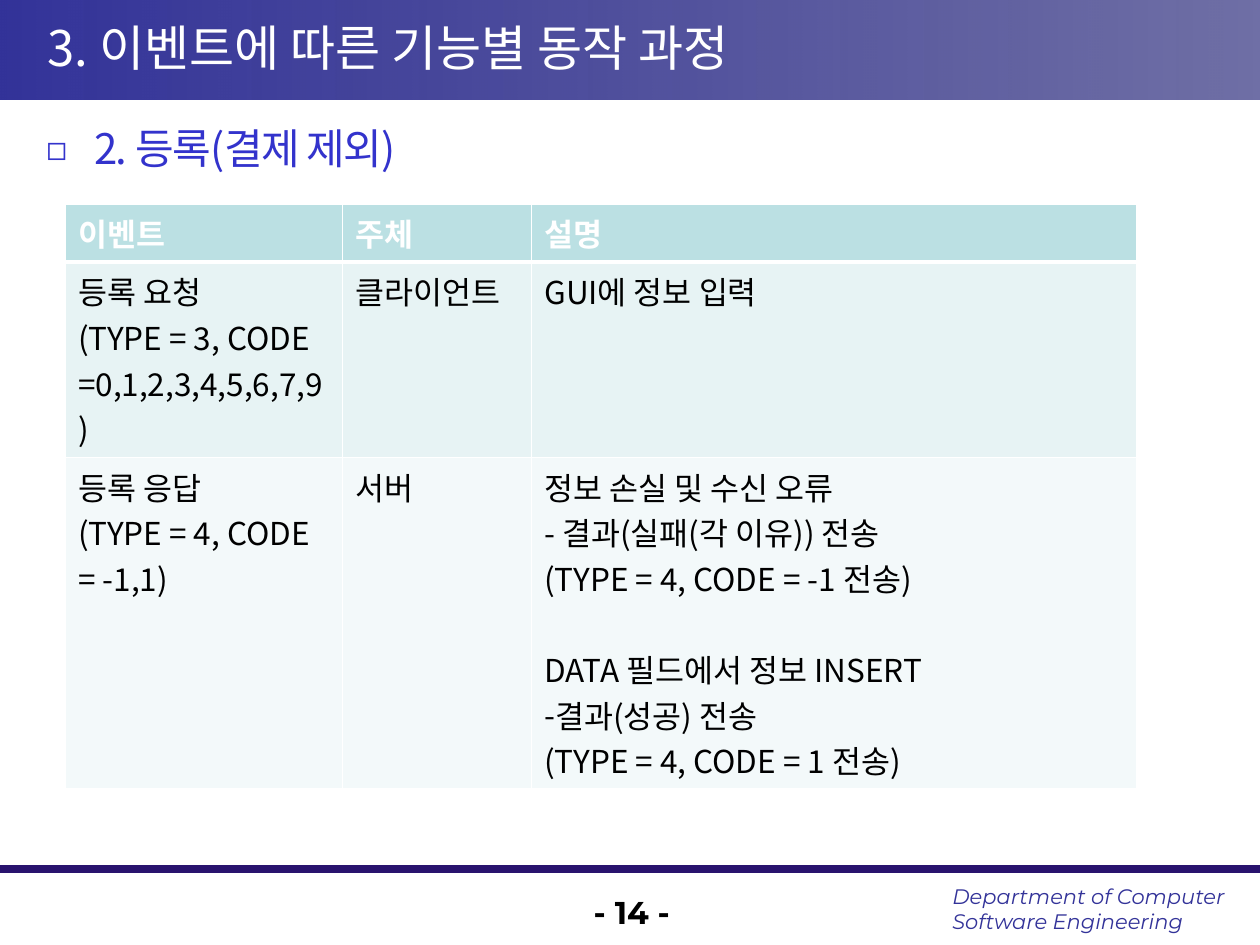
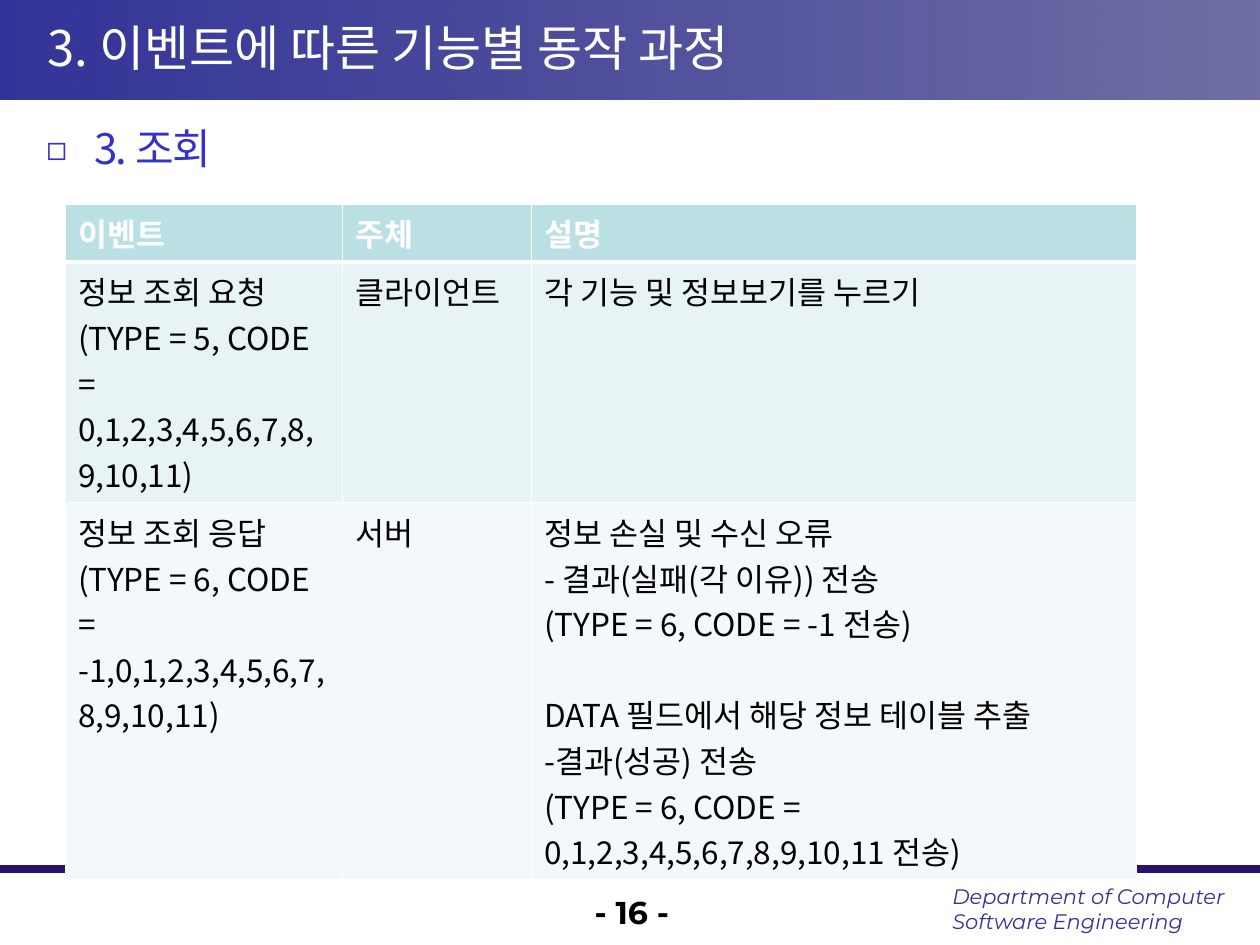
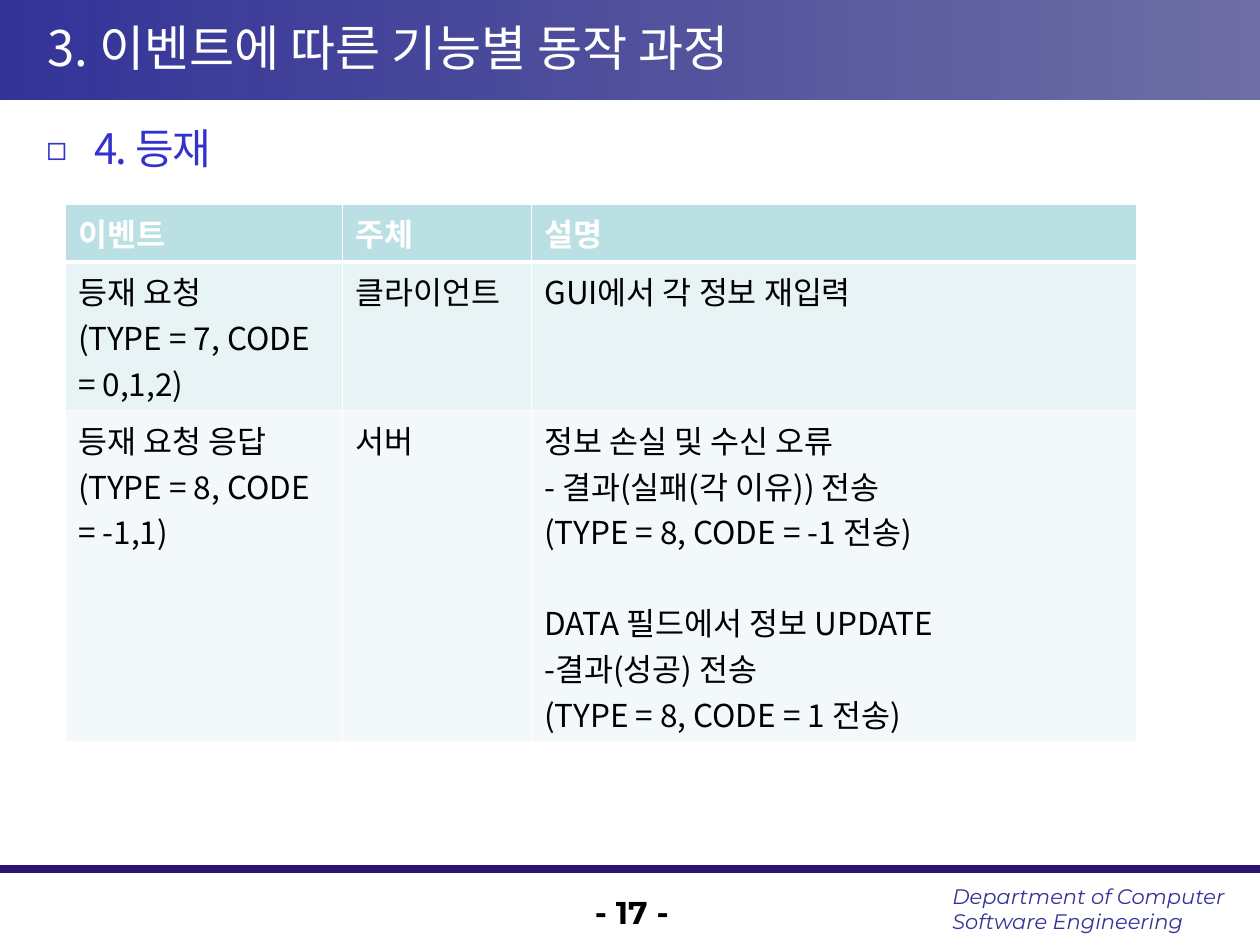
from dataclasses import dataclass

from lxml.etree import SubElement
from pptx import Presentation
from pptx.dml.color import RGBColor
from pptx.enum.shapes import MSO_CONNECTOR, MSO_SHAPE
from pptx.enum.text import MSO_ANCHOR, MSO_AUTO_SIZE, PP_ALIGN
from pptx.oxml.ns import qn
from pptx.slide import Slide
from pptx.table import _Cell
from pptx.text.text import TextFrame
from pptx.util import Emu, Inches, Pt


@dataclass(frozen=True)
class TextStyle:
    font: str
    size: int
    color: str
    bold: bool = False
    italic: bool = False
    spacing: int = 0


@dataclass(frozen=True)
class Theme:
    band_start: str = "333399"
    band_end: str = "29297B"
    band_end_alpha: int = 67
    rule: str = "29136E"
    border: str = "FFFFFF"
    row_fills: tuple[str, ...] = ("BBE0E3", "E7F3F4", "F3F9FA")
    title: TextStyle = TextStyle("Noto Sans CJK KR", 28, "FFFFFF")
    heading: TextStyle = TextStyle("Noto Sans CJK KR", 24, "3333CC", spacing=-100)
    table_head: TextStyle = TextStyle("Noto Sans CJK KR", 18, "FFFFFF", bold=True)
    table_body: TextStyle = TextStyle("Noto Sans CJK KR", 18, "000000")
    number: TextStyle = TextStyle("Montserrat", 18, "000000", bold=True)
    department: TextStyle = TextStyle("Montserrat", 12, "333399", italic=True)


@dataclass(frozen=True)
class Line:
    text: str
    bullet: str = ""
    bullet_percent: int = 100
    indent: float = 0
    space_before: int = 0
    align: PP_ALIGN = PP_ALIGN.LEFT


@dataclass(frozen=True)
class Box:
    left: float
    top: float
    width: float
    height: float

    def lengths(self) -> tuple[Emu, ...]:
        return tuple(Inches(n) for n in (self.left, self.top, self.width, self.height))


@dataclass(frozen=True)
class EventPage:
    number: int
    heading: str
    request: str
    request_type: int
    request_codes: str
    client_action: str
    response: str
    response_codes: str
    server_action: str
    success_codes: str
    row_heights: tuple[float, ...]


THEME = Theme()
TITLE = "3. 이벤트에 따른 기능별 동작 과정"
COLUMNS = {"이벤트": 2.2, "주체": 1.5, "설명": 4.8}
BLANK_LINE = 26
QUERY_CODES = "0,1,2,3,4,5,6,7,8,9,10,11"

PAGES = (
    EventPage(14, "2. 등록(결제 제외)", "등록 요청", 3, "=0,1,2,3,4,5,6,7,9",
              "GUI에 정보 입력", "등록 응답", "-1,1", "정보 INSERT", "1",
              (0.46, 1.55, 2.63)),
    EventPage(16, "3. 조회", "정보 조회 요청", 5, f"= {QUERY_CODES}",
              "각 기능 및 정보보기를 누르기", "정보 조회 응답", f"-1,{QUERY_CODES}",
              "해당 정보 테이블 추출", QUERY_CODES, (0.46, 1.91, 2.99)),
    EventPage(17, "4. 등재", "등재 요청", 7, "= 0,1,2",
              "GUI에서 각 정보 재입력", "등재 요청 응답", "-1,1", "정보 UPDATE", "1",
              (0.46, 1.18, 2.63)),
)


def write_lines(frame: TextFrame, lines: list[Line], style: TextStyle) -> None:
    for index, line in enumerate(lines):
        para = frame.paragraphs[0] if index == 0 else frame.add_paragraph()
        para.alignment = line.align
        if line.space_before:
            para.space_before = Pt(line.space_before)
        if line.bullet:
            properties = para._p.get_or_add_pPr()
            properties.set("marL", str(Inches(line.indent)))
            properties.set("indent", str(-Inches(line.indent)))
            SubElement(properties, qn("a:buSzPct"), val=str(line.bullet_percent * 1000))
            SubElement(properties, qn("a:buFont"), typeface=style.font)
            SubElement(properties, qn("a:buChar"), char=line.bullet)
        span = para.add_run()
        span.text = line.text
        values = {"name": style.font, "size": Pt(style.size),
                  "bold": style.bold, "italic": style.italic}
        for name, value in values.items():
            setattr(span.font, name, value)
        span.font.color.rgb = RGBColor.from_string(style.color)
        run_properties = span._r.get_or_add_rPr()
        SubElement(run_properties, qn("a:ea"), typeface=style.font)
        if style.spacing:
            run_properties.set("spc", str(style.spacing))


def add_text(page: Slide, box: Box, lines: list[Line], style: TextStyle, **overrides) -> None:
    frame = page.shapes.add_textbox(*box.lengths()).text_frame
    values = {"word_wrap": True, "vertical_anchor": MSO_ANCHOR.TOP} | overrides
    for name, value in values.items():
        setattr(frame, name, value)
    write_lines(frame, lines, style)


def add_frame(page: Slide) -> None:
    band = page.shapes.add_shape(MSO_SHAPE.RECTANGLE, *Box(0, 0, 10, 0.79).lengths())
    band.shadow.inherit = False
    band.line.fill.background()
    band.fill.gradient()
    band.fill.gradient_angle = 0
    stops = band.fill.gradient_stops
    for stop, color, position in zip(stops, (THEME.band_start, THEME.band_end), (0, 1)):
        stop.color.rgb = RGBColor.from_string(color)
        stop.position = position
    end_color = band._element.spPr.findall(".//" + qn("a:srgbClr"))[-1]
    SubElement(end_color, qn("a:alpha"), val=str(THEME.band_end_alpha * 1000))

    rule = page.shapes.add_connector(
        MSO_CONNECTOR.STRAIGHT, Inches(0), Inches(6.9), Inches(10), Inches(6.9))
    rule.line.color.rgb = RGBColor.from_string(THEME.rule)
    rule.line.width = Pt(4.5)
    SubElement(rule._element.spPr, qn("a:effectLst"))

    add_text(page, Box(7.46, 6.96, 2.49, 0.51),
             [Line("Department of Computer"), Line("Software Engineering")],
             THEME.department, word_wrap=False, auto_size=MSO_AUTO_SIZE.SHAPE_TO_FIT_TEXT)
    add_text(page, Box(0.28, 0.02, 9.45, 0.71), [Line(TITLE)], THEME.title,
             vertical_anchor=MSO_ANCHOR.MIDDLE)


def set_borders(cell: _Cell, widths: dict[str, float]) -> None:
    properties = cell._tc.get_or_add_tcPr()
    for side, width in widths.items():
        border = SubElement(properties, qn(f"a:ln{side}"), w=str(Pt(width)))
        fill = SubElement(border, qn("a:solidFill"))
        SubElement(fill, qn("a:srgbClr"), val=THEME.border)


def table_rows(event: EventPage) -> list[list[list[Line]]]:
    response_type = event.request_type + 1
    request = [Line(event.request),
               Line(f"(TYPE = {event.request_type}, CODE {event.request_codes})")]
    response = [Line(event.response),
                Line(f"(TYPE = {response_type}, CODE = {event.response_codes})")]
    outcome = [
        Line("정보 손실 및 수신 오류"),
        Line("- 결과(실패(각 이유)) 전송"),
        Line(f"(TYPE = {response_type}, CODE = -1 전송)"),
        Line(f"DATA 필드에서 {event.server_action}", space_before=BLANK_LINE),
        Line("결과(성공) 전송", bullet="-"),
        Line(f"(TYPE = {response_type}, CODE = {event.success_codes} 전송)"),
    ]
    return [
        [[Line(label)] for label in COLUMNS],
        [request, [Line("클라이언트")], [Line(event.client_action)]],
        [response, [Line("서버")], outcome],
    ]


def add_event_table(page: Slide, event: EventPage) -> None:
    rows = table_rows(event)
    box = Box(0.52, 1.62, sum(COLUMNS.values()), sum(event.row_heights))
    table = page.shapes.add_table(len(rows), len(COLUMNS), *box.lengths()).table
    table.horz_banding = False
    for column, width in zip(table.columns, COLUMNS.values()):
        column.width = Inches(width)
    for row, height in zip(table.rows, event.row_heights):
        row.height = Inches(height)
    for row_index, contents in enumerate(rows):
        style = THEME.table_body if row_index else THEME.table_head
        widths = {"L": 1, "R": 1, "T": 3 if row_index == 1 else 1,
                  "B": 1 if row_index else 3}
        for column_index, lines in enumerate(contents):
            cell = table.cell(row_index, column_index)
            set_borders(cell, widths)
            cell.fill.solid()
            cell.fill.fore_color.rgb = RGBColor.from_string(THEME.row_fills[row_index])
            write_lines(cell.text_frame, lines, style)


def main() -> None:
    deck = Presentation()
    deck.slide_width, deck.slide_height = Inches(10), Inches(7.5)
    for event in PAGES:
        page = deck.slides.add_slide(deck.slide_layouts[6])
        add_frame(page)
        add_text(page, Box(0.27, 0.92, 9.45, 5.91),
                 [Line(event.heading, bullet="◻", bullet_percent=80, indent=0.38)],
                 THEME.heading)
        add_text(page, Box(3.85, 7.04, 2.33, 0.36),
                 [Line(f"- {event.number} -", align=PP_ALIGN.CENTER)], THEME.number)
        add_event_table(page, event)
    deck.save("out.pptx")


if __name__ == "__main__":
    main()
